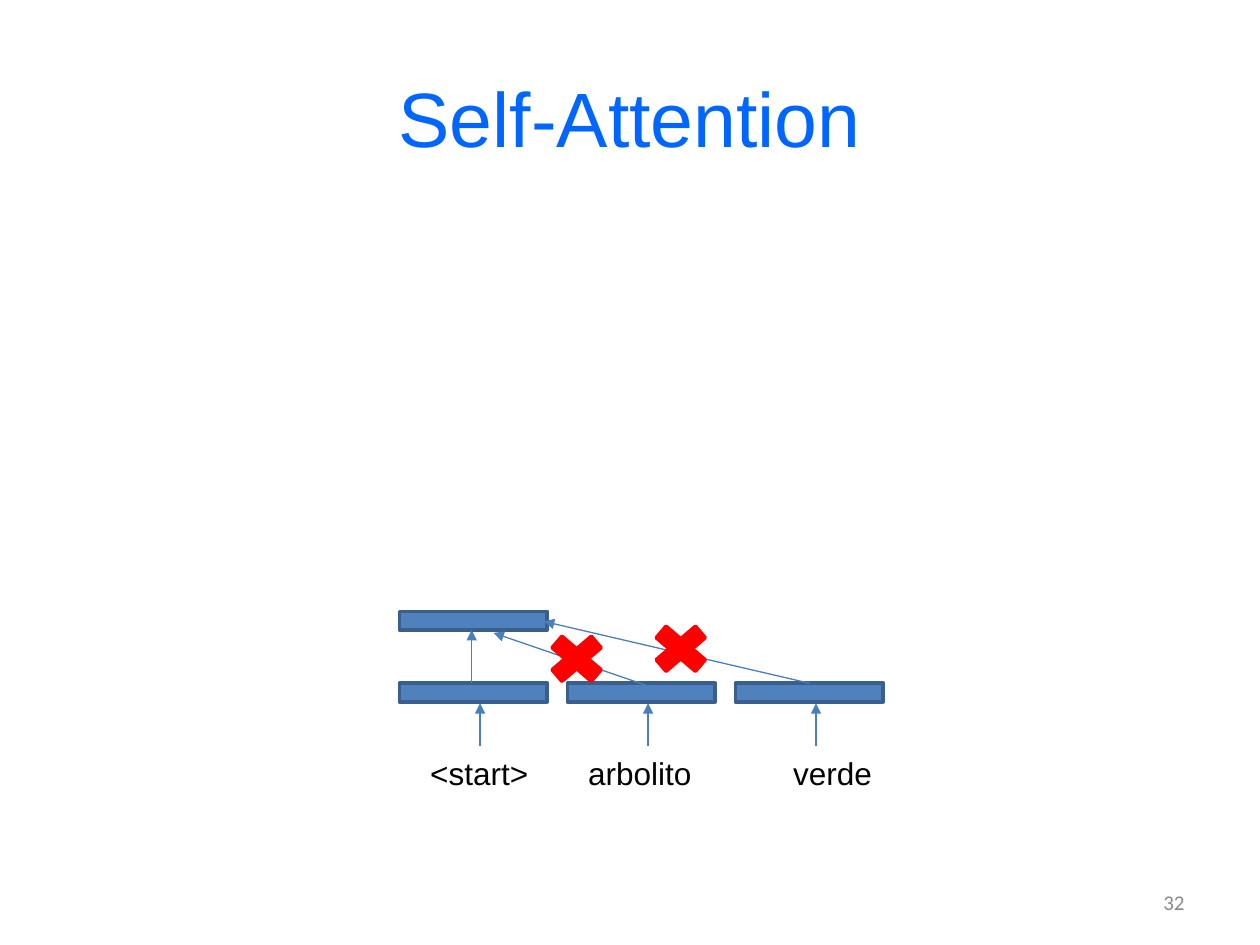
import pptx
import pptx.util
import pptx.dml.color
import pptx.enum.shapes
import pptx.enum.text
import pptx.oxml
import pptx.oxml.ns

Inches = pptx.util.Inches
Shape = pptx.enum.shapes.MSO_SHAPE
Align = pptx.enum.text.PP_ALIGN
Anchor = pptx.enum.text.MSO_ANCHOR
WIDE, HIGH = 10, 7.5


def color(code):
    return pptx.dml.color.RGBColor.from_string(code)


def text(slide, words, box, size=18, font="Arial", ink="000000",
         align=Align.LEFT, anchor=Anchor.TOP, wrap=True):
    frame = slide.shapes.add_textbox(*map(Inches, box)).text_frame
    frame.word_wrap = wrap
    frame.vertical_anchor = anchor
    para = frame.paragraphs[0]
    para.alignment = align
    run = para.add_run()
    run.text = words
    run.font.size = pptx.util.Pt(size)
    run.font.name = font
    run.font.color.rgb = color(ink)


def block(slide, kind, box, fill, edge):
    shape = slide.shapes.add_shape(kind, *map(Inches, box))
    shape.shadow.inherit = False
    shape.fill.solid()
    shape.fill.fore_color.rgb = color(fill)
    shape.line.color.rgb = color(edge)
    shape.line.width = pptx.util.Pt(2)


def arrow(slide, start, end):
    link = slide.shapes.add_connector(
        pptx.enum.shapes.MSO_CONNECTOR.STRAIGHT, *map(Inches, start + end))
    link.line.color.rgb = color("4B7EBC")
    link.line.width = pptx.util.Pt(0.75)
    head = pptx.oxml.parse_xml(
        '<a:tailEnd %s type="triangle"/>' % pptx.oxml.ns.nsdecls("a"))
    link.line._get_or_add_ln().append(head)
    props = link._element.spPr
    props.append(pptx.oxml.parse_xml(
        "<a:effectLst %s/>" % pptx.oxml.ns.nsdecls("a")))


def title(slide, box):
    text(slide, "Self-Attention", box, size=44, ink="0066FF",
         align=Align.CENTER, anchor=Anchor.MIDDLE)


def number(slide, box):
    text(slide, "32", box, size=12, font="Calibri", ink="898989",
         align=Align.RIGHT, anchor=Anchor.MIDDLE)


def network(slide, box):
    left, top, width, height = box
    unit, row = width / 3, height / 3

    def spot(across, down):
        return left + across * unit, top + down * row

    def area(across, down, wide, tall):
        return spot(across, down) + (wide * unit, tall * row)

    tokens = [("<start>", 0.11, 0.74), ("arbolito", 1.05, 0.77),
              ("verde", 2.27, 0.62)]
    for index, (word, across, wide) in enumerate(tokens):
        arrow(slide, spot(index + 0.48, 1.88), spot(index + 0.48, 1.28))
        text(slide, word, area(across, 1.9, wide, 0.7), wrap=False)

    for across, down in [(0, 1), (1, 1), (2, 1), (0, 0)]:
        block(slide, Shape.RECTANGLE, area(across, down, 0.88, 0.26),
              "4F81BD", "3A5F8C")

    links = [((1.47, 1.03), (0.56, 0.3)), ((0.43, 1), (0.43, 0.26)),
             ((2.44, 1), (0.86, 0.14))]
    for start, end in links:
        arrow(slide, spot(*start), spot(*end))

    for across, down in [(1.45, 0.07), (0.83, 0.21)]:
        block(slide, Shape.MATH_MULTIPLY, area(across, down, 0.45, 0.9),
              "FF0000", "FF0000")


def main():
    deck = pptx.Presentation()
    deck.slide_width, deck.slide_height = Inches(WIDE), Inches(HIGH)
    slide = deck.slides.add_slide(deck.slide_layouts[6])
    title(slide, (0.05 * WIDE, 0.04 * HIGH, 0.9 * WIDE, HIGH / 6))
    number(slide, (0.72 * WIDE, 0.93 * HIGH, 0.23 * WIDE, 0.05 * HIGH))
    network(slide, (0.317 * WIDE, 0.647 * HIGH, 0.4 * WIDE, 0.228 * HIGH))
    deck.save("out.pptx")


main()
